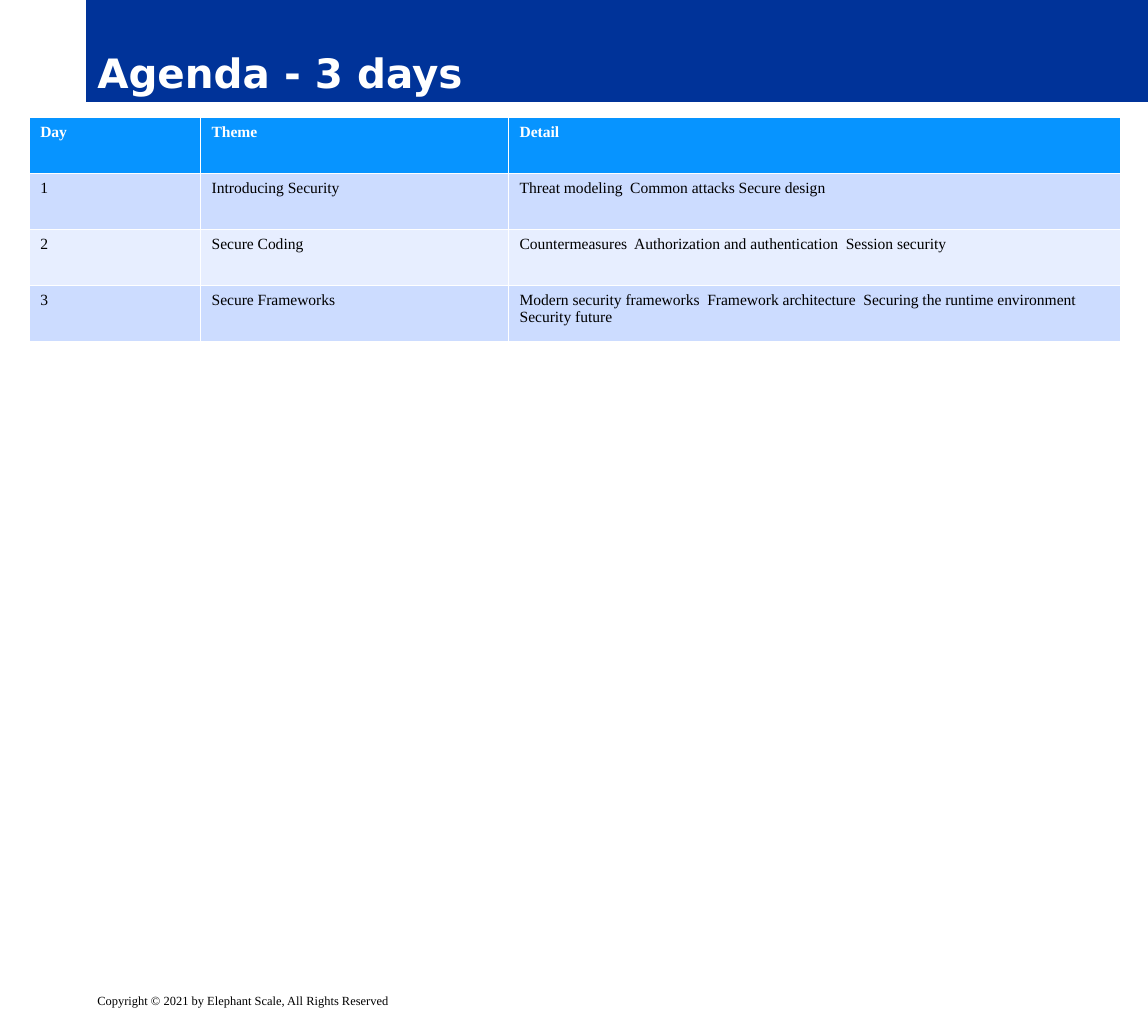
from dataclasses import dataclass

from pptx import Presentation
from pptx import util as u
from pptx.dml.color import RGBColor
from pptx.enum import shapes, text

COLOURS = {
    "banner": "003399",
    "header": "0794FF",
    "odd_row": "CCDCFF",
    "even_row": "E7EEFF",
    "white": "FFFFFF",
    "black": "000000",
}
BODY_FONT = "Times New Roman"
TITLE_FORMAT = {"name": "DejaVu Sans", "size": u.Pt(26), "bold": True}
HEADER_FORMAT = {"name": BODY_FONT, "size": u.Pt(10), "bold": True}
CELL_FORMAT = {"name": BODY_FONT, "size": u.Pt(10), "bold": False}
FOOTER_FORMAT = {"name": BODY_FONT, "size": u.Pt(8), "bold": False}

COLUMN_WIDTHS = (110.16, 198, 393.84)
ROW_HEIGHT = 36


@dataclass(frozen=True)
class AgendaRow:
    day: str
    theme: str
    detail: str


HEADINGS = AgendaRow("Day", "Theme", "Detail")
AGENDA = (
    AgendaRow("1", "Introducing Security",
              "Threat modeling  Common attacks Secure design"),
    AgendaRow("2", "Secure Coding",
              "Countermeasures  Authorization and authentication  Session security"),
    AgendaRow("3", "Secure Frameworks",
              "Modern security frameworks  Framework architecture  "
              "Securing the runtime environment  Security future"),
)


def colour(name: str) -> RGBColor:
    return RGBColor.from_string(COLOURS[name])


def write(frame, words: str, font_format: dict, colour_name: str) -> None:
    paragraph = frame.paragraphs[0]
    paragraph.alignment = text.PP_ALIGN.LEFT
    run = paragraph.add_run()
    run.text = words
    for attribute, value in font_format.items():
        setattr(run.font, attribute, value)
    run.font.color.rgb = colour(colour_name)


def add_banner(slide, words: str) -> None:
    shape = slide.shapes.add_shape(
        shapes.MSO_SHAPE.RECTANGLE, u.Pt(55.44), 0, u.Pt(682.56), u.Pt(65.52))
    shape.shadow.inherit = False
    shape.fill.solid()
    shape.fill.fore_color.rgb = colour("banner")
    shape.line.fill.background()
    shape.text_frame.vertical_anchor = text.MSO_ANCHOR.BOTTOM
    write(shape.text_frame, words, TITLE_FORMAT, "white")


def add_footer(slide, words: str) -> None:
    shape = slide.shapes.add_textbox(
        u.Pt(55.44), u.Pt(635.04), u.Pt(682.56), u.Pt(18))
    shape.text_frame.word_wrap = True
    write(shape.text_frame, words, FOOTER_FORMAT, "black")


def fill_row(row, entry: AgendaRow, fill: str, font_format: dict, ink: str) -> None:
    row.height = u.Pt(ROW_HEIGHT)
    for cell, words in zip(row.cells, (entry.day, entry.theme, entry.detail)):
        cell.fill.solid()
        cell.fill.fore_color.rgb = colour(fill)
        write(cell.text_frame, words, font_format, ink)


def add_agenda(slide) -> None:
    row_count = len(AGENDA) + 1
    table = slide.shapes.add_table(
        row_count, len(COLUMN_WIDTHS), u.Pt(18.72), u.Pt(75.6),
        u.Pt(sum(COLUMN_WIDTHS)), u.Pt(row_count * ROW_HEIGHT)).table
    for column, width in zip(table.columns, COLUMN_WIDTHS):
        column.width = u.Pt(width)
    fill_row(table.rows[0], HEADINGS, "header", HEADER_FORMAT, "white")
    for index, entry in enumerate(AGENDA, start=1):
        fill = "odd_row" if index % 2 else "even_row"
        fill_row(table.rows[index], entry, fill, CELL_FORMAT, "black")


def main() -> None:
    presentation = Presentation()
    presentation.slide_width = u.Pt(738)
    presentation.slide_height = u.Pt(653.04)
    slide = presentation.slides.add_slide(presentation.slide_layouts[6])

    # Title banner
    add_banner(slide, "Agenda - 3 days")

    # Copyright line
    add_footer(slide, "Copyright © 2021 by Elephant Scale, All Rights Reserved")

    # Agenda table
    add_agenda(slide)

    presentation.save("out.pptx")


if __name__ == "__main__":
    main()
